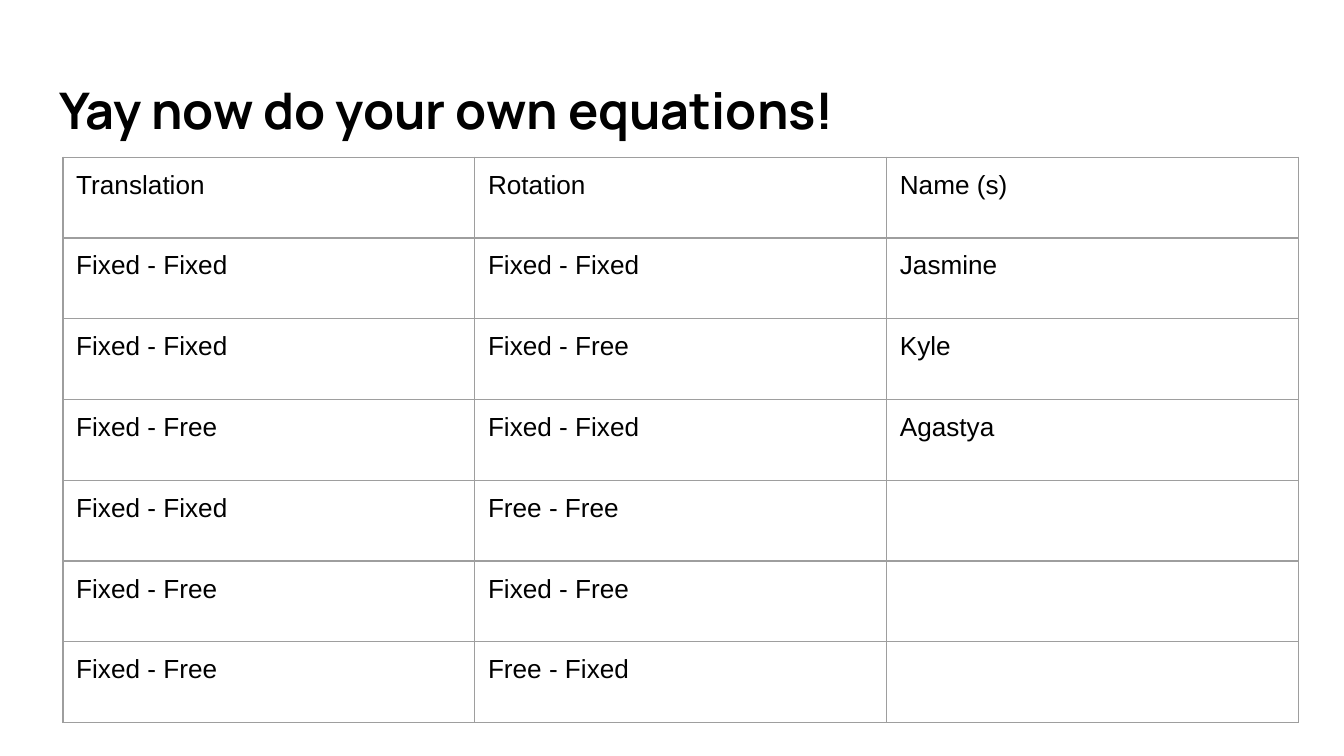
from dataclasses import dataclass

from lxml import etree
from pptx import Presentation
from pptx.dml.color import RGBColor
from pptx.enum.text import MSO_ANCHOR as Anchor
from pptx.oxml.ns import qn
from pptx.util import Cm, Pt


@dataclass(frozen=True)
class Theme:
    text: str = "000000"
    background: str = "FFFFFF"
    border: str = "9E9E9E"
    border_width: float = 0.75
    title_font: str = "Manrope"
    body_font: str = "Arial"
    title_size: int = 27
    body_size: int = 14
    inset: float = 0.25


THEME = Theme()

ROWS = [
    ("Translation", "Rotation", "Name (s)"),
    ("Fixed - Fixed", "Fixed - Fixed", "Jasmine"),
    ("Fixed - Fixed", "Fixed - Free", "Kyle"),
    ("Fixed - Free", "Fixed - Fixed", "Agastya"),
    ("Fixed - Fixed", "Free - Free", ""),
    ("Fixed - Free", "Fixed - Free", ""),
    ("Fixed - Free", "Free - Fixed", ""),
]


def write_text(frame, text, *, font=THEME.body_font, size=THEME.body_size,
               color=THEME.text, bold=False):
    frame.word_wrap = True
    paragraph = frame.paragraphs[0]
    paragraph.text = text
    paragraph.font.name = font
    paragraph.font.size = Pt(size)
    paragraph.font.bold = bold
    paragraph.font.color.rgb = RGBColor.from_string(color)


def set_insets(target):
    for side in ("left", "top", "right", "bottom"):
        setattr(target, f"margin_{side}", Cm(THEME.inset))


def set_borders(cell):
    properties = cell._tc.get_or_add_tcPr()
    # Border lines must come before the cell fill
    for index, side in enumerate(("lnL", "lnR", "lnT", "lnB")):
        line = etree.Element(qn(f"a:{side}"), w=str(Pt(THEME.border_width)))
        fill = etree.SubElement(line, qn("a:solidFill"))
        etree.SubElement(fill, qn("a:srgbClr"), val=THEME.border)
        properties.insert(index, line)


def add_title(slide, text, left, top, width, height):
    shape = slide.shapes.add_textbox(Cm(left), Cm(top), Cm(width), Cm(height))
    frame = shape.text_frame
    set_insets(frame)
    frame.vertical_anchor = Anchor.TOP
    write_text(frame, text, font=THEME.title_font, size=THEME.title_size, bold=True)


def add_constraint_table(slide, rows, left, top, width, height):
    shape = slide.shapes.add_table(len(rows), len(rows[0]),
                                   Cm(left), Cm(top), Cm(width), Cm(height))
    table = shape.table
    table.first_row = table.horz_banding = False
    for row_index, row in enumerate(rows):
        for column_index, text in enumerate(row):
            cell = table.cell(row_index, column_index)
            set_insets(cell)
            cell.vertical_anchor = Anchor.TOP
            cell.fill.background()
            set_borders(cell)
            write_text(cell.text_frame, text)


def main():
    presentation = Presentation()
    presentation.slide_width = Cm(25.4)
    presentation.slide_height = Cm(14.29)
    slide = presentation.slides.add_slide(presentation.slide_layouts[6])
    slide.background.fill.solid()
    slide.background.fill.fore_color.rgb = RGBColor.from_string(THEME.background)

    # Heading
    add_title(slide, "Yay now do your own equations!", 0.87, 1.24, 23.67, 1.73)

    # Constraint pairs and who solves them
    add_constraint_table(slide, ROWS, 1.19, 2.97, 23.35, 10.69)

    presentation.save("out.pptx")


if __name__ == "__main__":
    main()
